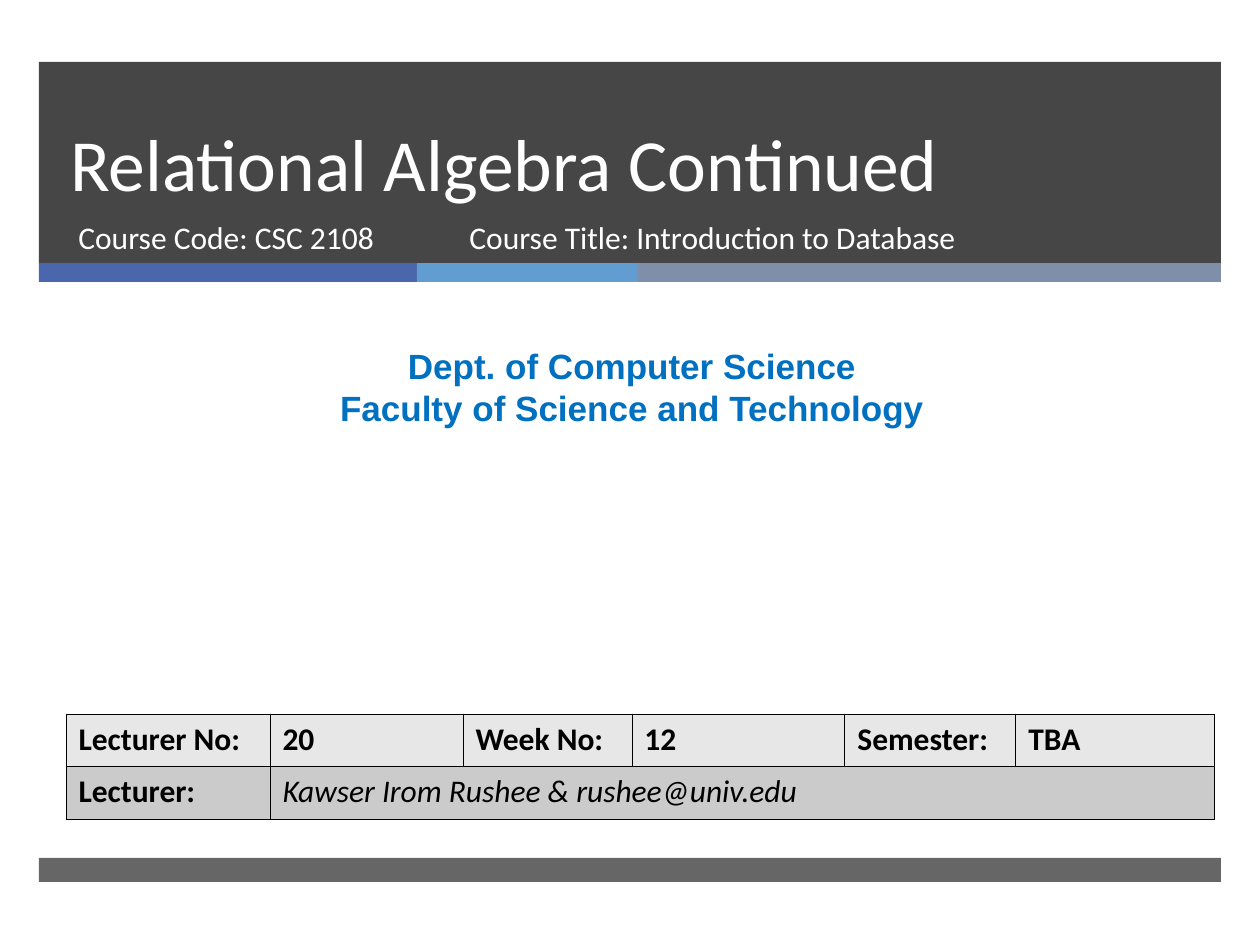
import pptx
import pptx.dml.color
import pptx.enum.shapes
import pptx.enum.text
import pptx.oxml.ns
import pptx.util
from lxml import etree

SCALE = 914400 / 126
ALIGN = pptx.enum.text.PP_ALIGN
ANCHOR = pptx.enum.text.MSO_ANCHOR


def px(n):
    """Turn a length in px into EMU."""
    return pptx.util.Emu(round(n * SCALE))


def rgb(value):
    """Turn a hex string into a colour."""
    return pptx.dml.color.RGBColor.from_string(value)


def sub(parent, tag, **attrs):
    """Append a drawing element to a parent element."""
    return etree.SubElement(parent, pptx.oxml.ns.qn(tag), **attrs)


def style(tf, size, color, font="Calibri", bold=False, italic=False):
    """Format every run of a text frame."""
    for p in tf.paragraphs:
        for r in p.runs:
            r.font.size = pptx.util.Pt(size)
            r.font.name = font
            r.font.bold = bold
            r.font.italic = italic
            r.font.color.rgb = rgb(color)


def add_bar(s, x, y, w, h, color, alpha=100):
    """Draw a plain filled rectangle with an opacity in percent."""
    sp = s.shapes.add_shape(pptx.enum.shapes.MSO_SHAPE.RECTANGLE, px(x), px(y), px(w), px(h))
    sp.shadow.inherit = False
    sp.line.fill.background()
    sp.fill.solid()
    sp.fill.fore_color.rgb = rgb(color)
    if alpha < 100:
        clr = sp.fill._xPr.find(".//" + pptx.oxml.ns.qn("a:srgbClr"))
        sub(clr, "a:alpha", val=str(alpha * 1000))


def add_text(s, x, y, w, h, text, size, color, anchor=ANCHOR.TOP, **fmt):
    """Place a wrapping text box and return its text frame."""
    tf = s.shapes.add_textbox(px(x), px(y), px(w), px(h)).text_frame
    tf.word_wrap = True
    tf.vertical_anchor = anchor
    tf.text = text
    style(tf, size, color, **fmt)
    return tf


def add_header(s, x, y, w, h):
    """Draw the title band, its course lines and the strip under it."""
    add_bar(s, x, y, w, h, "262626", 85)
    left = x
    for width, color in ((378, "4A66AC"), (221, "629DD1"), (w - 599, "7F8FA9")):
        add_bar(s, left, y + h - 1, width, 19, color)
        left += width
    tf = add_text(s, x + 19, y, 1076, 150, "Relational Algebra Continued", 42, "FFFFFF", ANCHOR.BOTTOM)
    tf.paragraphs[0].line_spacing = pptx.util.Pt(46)
    add_text(s, x + 27, y + 150, 384, 67, "Course Code: CSC 2108", 18, "FFFFFF")
    add_text(s, x + 418, y + 150, 573, 67, "Course Title: Introduction to Database", 18, "FFFFFF")


def add_department(s, x, y, w, h):
    """Write the centred department and faculty lines."""
    text = "Dept. of Computer Science\nFaculty of Science and Technology"
    tf = add_text(s, x, y, w, h, text, 20, "0070C0", font="Arial", bold=True)
    for p in tf.paragraphs:
        p.alignment = ALIGN.CENTER


def format_cell(cell, color):
    """Give a cell thin black borders and a solid fill."""
    tcPr = cell._tc.get_or_add_tcPr()
    for side in ("a:lnL", "a:lnR", "a:lnT", "a:lnB"):
        fill = sub(sub(tcPr, side, w="5715"), "a:solidFill")
        sub(fill, "a:srgbClr", val="000000")
    cell.fill.solid()
    cell.fill.fore_color.rgb = rgb(color)


def add_lecture_table(s, x, y, h):
    """Build the two-row table of lecture details."""
    widths = (204, 193, 169, 213, 171, 199)
    rows = (
        ("E7E7E7", ("Lecturer No:", "20", "Week No:", "12", "Semester:", "TBA")),
        ("CBCBCB", ("Lecturer:", "Kawser Irom Rushee & rushee@univ.edu")),
    )
    table = s.shapes.add_table(len(rows), len(widths), px(x), px(y), px(sum(widths)), px(h)).table
    for column, width in zip(table.columns, widths):
        column.width = px(width)
    for i, (color, texts) in enumerate(rows):
        for j in range(len(widths)):
            format_cell(table.cell(i, j), color)
        for j, text in enumerate(texts):
            name = (i, j) == (1, 1)
            tf = table.cell(i, j).text_frame
            tf.text = text
            style(tf, 18, "000000", bold=not name, italic=name)
    table.cell(1, 1).merge(table.cell(1, len(widths) - 1))


def main():
    """Build the title slide and save it."""
    prs = pptx.Presentation()
    prs.slide_width, prs.slide_height = px(1260), px(945)
    s = prs.slides.add_slide(prs.slide_layouts[6])
    add_header(s, 39, 62, 1182, 202)
    add_bar(s, 39, 858, 1182, 24, "262626", 70)
    add_department(s, 10, 338, 1244, 97)
    add_lecture_table(s, 66, 714, 105)
    prs.save("out.pptx")


if __name__ == "__main__":
    main()
